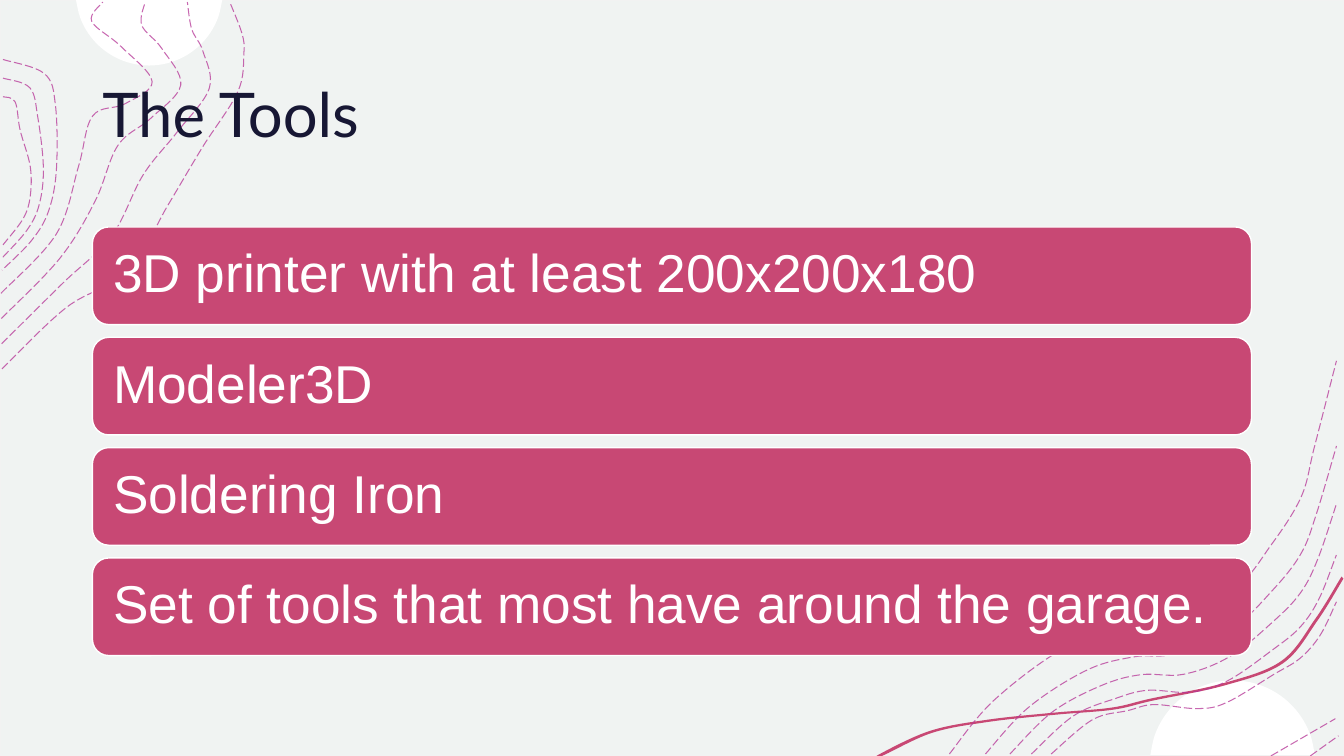
from math import asin, cos, pi, sin
from lxml import etree
from pptx import Presentation, util as u
from pptx.dml.color import RGBColor
from pptx.enum import dml, shapes, text
from pptx.oxml.ns import qn

INCH = u.Cm(2.54)
PINK, PURPLE, WHITE, NAVY = "C84874", "B63697", "FFFFFF", "171734"
PAPER, BORDER = "F0F3F2", "F2F2F2"

STREAM = {
    "outer": [(0.02, 3.66), (0.66, 3.05), (1.27, 2.69), (1.67, 2.03), (2.01, 1.46),
              (2.36, 0.91), (2.42, 0.53), (2.4, 0.33), (2.28, 0.02)],
    "inner": [(0.01, 2.91), (0.56, 2.32), (0.78, 1.65), (0.92, 1.15), (1.24, 1.03),
              (1.51, 0.81), (1.2, 0.46), (0.91, 0.21), (1.02, 0.02)],
    "count": 4, "ease": 1}
HILL = {
    "outer": [(0.03, 0.59), (0.44, 0.73), (0.55, 1.04), (0.56, 1.68), (0.48, 2.1),
              (0.31, 2.39), (0.02, 2.68)],
    "inner": [(0.03, 0.96), (0.15, 1.01), (0.2, 1.29), (0.3, 1.65), (0.3, 1.95),
              (0.23, 2.17), (0.03, 2.43)],
    "count": 3, "ease": 1}
SLOPE = {
    "outer": [(9.42, 7.48), (9.86, 6.95), (10.56, 6.43), (11.13, 6.26), (11.55, 6.19),
              (12.24, 5.85), (12.61, 5.41), (12.91, 4.93), (13.04, 4.44), (13.26, 3.58)],
    "inner": [(10.43, 7.48), (10.84, 7.14), (11.19, 7.05), (11.45, 6.99), (11.88, 7.03),
              (12.17, 6.97), (12.64, 6.69), (12.9, 6.53), (13.1, 6.3), (13.26, 5.97)],
    "count": 5, "ease": 0.75}
CORNER = {
    "outer": [(12.61, 7.5), (13.25, 7.13)],
    "inner": [(13, 7.5), (13.28, 7.3)],
    "count": 2, "ease": 1}
RIBBON = [(13.33, 5.74), (13.07, 6.16), (12.73, 6.58), (12.15, 6.8), (11.44, 6.95),
          (11.05, 7.04), (10.48, 7.09), (9.82, 7.16), (9.25, 7.27), (8.75, 7.5)]
TOOLS = ["3D printer with at least 200x200x180", "Modeler3D", "Soldering Iron",
         "Set of tools that most have around the garage."]


def rgb(code):
    return RGBColor.from_string(code)


def paint(shape, fill=None, line=None, width=1):
    shape.shadow.inherit = False
    if fill:
        shape.fill.solid()
        shape.fill.fore_color.rgb = rgb(fill)
    else:
        shape.fill.background()
    if line:
        shape.line.color.rgb = rgb(line)
        shape.line.width = u.Pt(width)
    else:
        shape.line.fill.background()


def mix(start, end, part):
    return tuple(a + (b - a) * part for a, b in zip(start, end))


def shift(spot, start, end):
    return tuple(s + (b - a) / 6 for s, a, b in zip(spot, start, end))


def bend(shape):
    knots = [(int(p.get("x")), int(p.get("y"))) for p in shape.element.xpath(".//a:path//a:pt")]
    knots = [knots[0]] + knots + [knots[-1]]
    for i, step in enumerate(shape.element.xpath(".//a:lnTo")):
        before, start, end, after = knots[i:i + 4]
        leave = shift(start, before, end)
        arrive = shift(end, after, start)
        curve = etree.Element(qn("a:cubicBezTo"))
        for x, y in (leave, arrive, end):
            etree.SubElement(curve, qn("a:pt"), x=str(round(x)), y=str(round(y)))
        step.getparent().replace(step, curve)


def trace(canvas, knots, close):
    knots = [(round(x * INCH), round(y * INCH)) for x, y in knots]
    form = canvas.build_freeform(*knots[0], scale=1.0)
    form.add_line_segments(knots[1:], close=close)
    shape = form.convert_to_shape()
    bend(shape)
    return shape


def wave(canvas, knots):
    shape = trace(canvas, knots, False)
    paint(shape, None, PURPLE, 0.75)
    shape.line.dash_style = dml.MSO_LINE.LONG_DASH
    tint = shape.element.xpath(".//a:ln//a:srgbClr")[0]
    etree.SubElement(tint, qn("a:alpha"), val="75000")


def waves(slide, *bands):
    canvas = slide.shapes.add_group_shape().shapes
    for band in bands:
        for i in range(band["count"]):
            part = (i / (band["count"] - 1)) ** band["ease"]
            wave(canvas, [mix(a, b, part) for a, b in zip(band["outer"], band["inner"])])


def disc(slide, x, y, r, edge, side):
    cut = asin(abs(edge - y) / r)
    turns = [cut + (pi - 2 * cut) * i / 12 for i in range(13)]
    rim = [(x + r * cos(t), y + side * r * sin(t)) for t in turns]
    paint(trace(slide.shapes, rim, True), WHITE)


def swoosh(slide, thick):
    back = [(x - thick, y - thick) for x, y in reversed(RIBBON)]
    paint(trace(slide.shapes, RIBBON + back, True), PINK)


def paper(slide, w, h):
    sheet = slide.shapes.add_shape(shapes.MSO_SHAPE.RECTANGLE, 0, 0, w, h)
    paint(sheet, PAPER, BORDER)


def write(shape, words, size, font, color):
    frame = shape.text_frame
    frame.word_wrap = True
    frame.vertical_anchor = text.MSO_ANCHOR.MIDDLE
    para = frame.paragraphs[0]
    para.alignment = text.PP_ALIGN.LEFT
    run = para.add_run()
    run.text = words
    run.font.size = u.Pt(size)
    run.font.name = font
    run.font.color.rgb = rgb(color)
    return frame


def title(slide, x, y, w, h):
    write(slide.shapes.add_textbox(x, y, w, h), "The Tools", 44, "Lato", NAVY)


def bars(slide, x, y, w, h):
    gap = u.Cm(0.32)
    tall = (h - gap * (len(TOOLS) - 1)) // len(TOOLS)
    for i, tool in enumerate(TOOLS):
        bar = slide.shapes.add_shape(shapes.MSO_SHAPE.ROUNDED_RECTANGLE,
                                     x, y + i * (tall + gap), w, tall)
        paint(bar, PINK, WHITE)
        frame = write(bar, tool, 38, "Arial", WHITE)
        frame.margin_left = frame.margin_right = u.Cm(0.4)
        frame.margin_top = frame.margin_bottom = u.Cm(0.4)
        frame.paragraphs[0].line_spacing = 0.9


def main():
    deck = Presentation()
    deck.slide_width, deck.slide_height = u.Cm(33.87), u.Cm(19.05)
    slide = deck.slides.add_slide(deck.slide_layouts[6])
    left, wide = u.Cm(2.33), u.Cm(29.21)
    paper(slide, deck.slide_width, deck.slide_height)
    disc(slide, 1.48, -0.08, 0.73, 0, 1)
    disc(slide, 12.23, 7.57, 0.82, 7.49, -1)
    swoosh(slide, 0.02)
    waves(slide, STREAM, HILL)
    waves(slide, SLOPE, CORNER)
    title(slide, left, u.Cm(1.01), wide, u.Cm(3.68))
    bars(slide, left, u.Cm(5.72), wide, u.Cm(10.8))
    deck.save("out.pptx")


if __name__ == "__main__":
    main()
